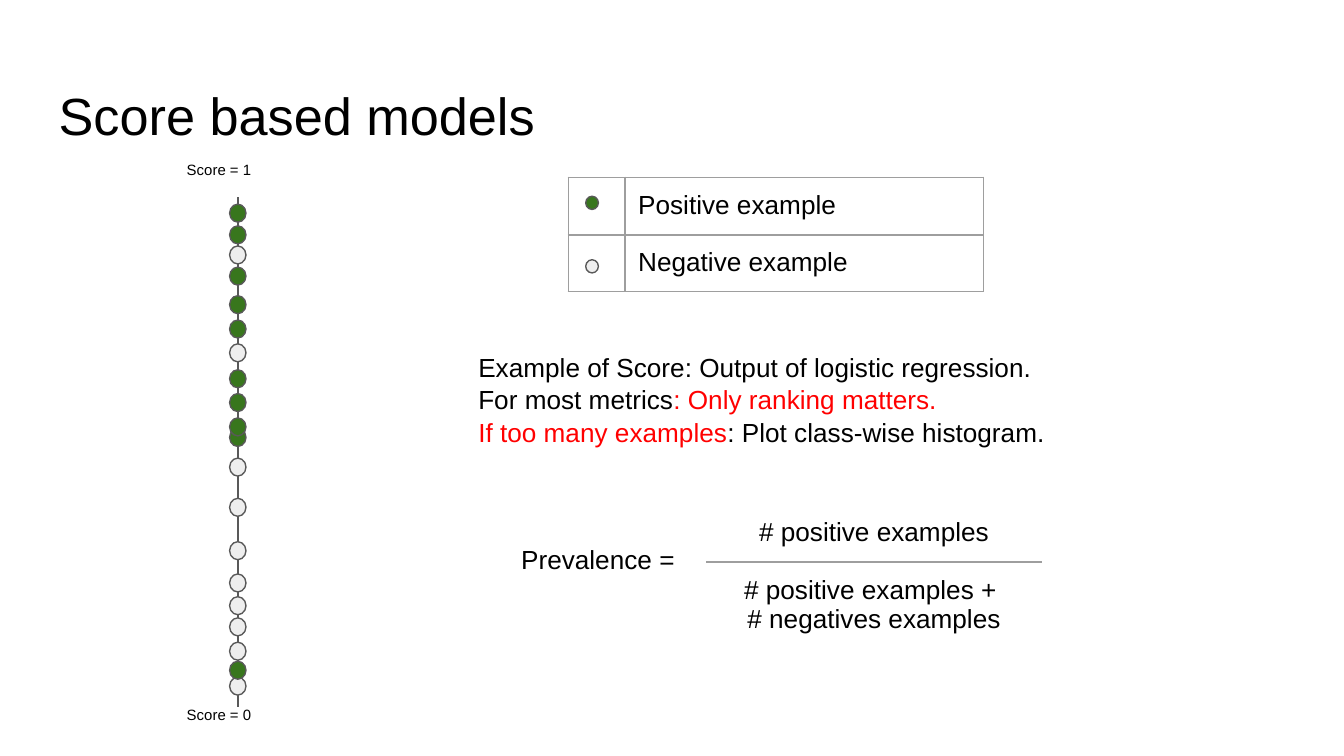
from lxml.etree import SubElement
from pptx import Presentation
from pptx.dml.color import RGBColor
from pptx.enum.shapes import MSO_CONNECTOR, MSO_SHAPE
from pptx.enum.text import MSO_ANCHOR, PP_ALIGN
from pptx.oxml.ns import qn
from pptx.util import Cm, Pt

COLORS = {
    "text": "000000",
    "accent": "FF0000",
    "positive": "38761D",
    "negative": "EEEEEE",
    "outline": "595959",
    "border": "9E9E9E",
}


def write(paragraph, text, size=14, color="text", align=PP_ALIGN.LEFT):
    paragraph.alignment = align
    run = paragraph.add_run()
    run.text = text
    run.font.size = Pt(size)
    run.font.name = "Arial"
    run.font.color.rgb = RGBColor.from_string(COLORS[color])


def style_cell(cell, sides):
    properties = cell._tc.get_or_add_tcPr()
    for side in sides:
        line = SubElement(properties, qn(f"a:ln{side}"), w=str(Pt(0.75)))
        fill = SubElement(line, qn("a:solidFill"))
        SubElement(fill, qn("a:srgbClr"), val=COLORS["border"])
    cell.fill.background()
    cell.margin_left = cell.margin_right = Cm(0.25)
    cell.margin_top = cell.margin_bottom = Cm(0.25)


presentation = Presentation()
presentation.slide_width = Cm(25.4)
presentation.slide_height = Cm(14.29)
slide = presentation.slides.add_slide(presentation.slide_layouts[5])
shapes = slide.shapes

title = shapes.title
title.left, title.top, title.width, title.height = Cm(0.86), Cm(1.24), Cm(23.67), Cm(1.6)
title.text_frame.vertical_anchor = MSO_ANCHOR.TOP
title.text_frame.margin_left = title.text_frame.margin_right = Cm(0.25)
title.text_frame.margin_top = Cm(0.34)
write(title.text_frame.paragraphs[0], "Score based models", size=28)

score_axis = shapes.add_connector(MSO_CONNECTOR.STRAIGHT, Cm(4.5), Cm(3.73), Cm(4.5), Cm(13.36))
score_axis.line.color.rgb = RGBColor.from_string(COLORS["outline"])
score_axis.line.width = Pt(0.75)
SubElement(score_axis._element.spPr, qn("a:effectLst"))

legend = shapes.add_table(2, 2, Cm(10.74), Cm(3.35), Cm(7.85), Cm(2.16)).table
legend.first_row = legend.horz_banding = False
legend.columns[0].width, legend.columns[1].width = Cm(1.07), Cm(6.78)
legend.rows[0].height, legend.rows[1].height = Cm(1.09), Cm(1.07)
for row, meaning in enumerate(["Positive example", "Negative example"]):
    for column in range(2):
        style_cell(legend.cell(row, column), "LRTB")
    marker_cell = legend.cell(row, 0)
    marker_cell.margin_top = marker_cell.margin_bottom = 0
    write(legend.cell(row, 1).text_frame.paragraphs[0], meaning)

scores = {
    "negative": [4.65, 6.5, 8.66, 9.42, 10.24, 10.85, 11.28, 11.68, 12.14, 12.8],
    "positive": [3.86, 4.27, 5.05, 5.59, 6.05, 6.99, 8.1, 12.5, 7.44, 7.9],
}
examples = [(4.34, top, 0.31, 0.34, kind) for kind, tops in scores.items() for top in tops]
examples += [(11.07, 3.71, 0.24, 0.25, "positive"), (11.07, 4.91, 0.24, 0.25, "negative")]
for left, top, width, height, kind in examples:
    example = shapes.add_shape(
        MSO_SHAPE.FLOWCHART_CONNECTOR, Cm(left), Cm(top), Cm(width), Cm(height)
    )
    example.shadow.inherit = False
    example.fill.solid()
    example.fill.fore_color.rgb = RGBColor.from_string(COLORS[kind])
    example.line.color.rgb = RGBColor.from_string(COLORS["outline"])
    example.line.width = Pt(0.75)

labels = [
    ("Score = 1", 3.28, 2.87, 4.39, 0.46, 8),
    ("Score = 0", 3.28, 13.16, 4.39, 0.46, 8),
    ("Prevalence =", 9.6, 10.03, 8.71, 0.81, 14),
]
for text, left, top, width, height, size in labels:
    label = shapes.add_textbox(Cm(left), Cm(top), Cm(width), Cm(height)).text_frame
    label.word_wrap = True
    label.margin_left = label.margin_right = label.margin_top = label.margin_bottom = Cm(0.25)
    write(label.paragraphs[0], text, size=size)

fraction = shapes.add_table(2, 1, Cm(13.36), Cm(9.53), Cm(6.32), Cm(2.14)).table
fraction.first_row = fraction.horz_banding = False
parts = [(["# positive examples"], "B"), (["# positive examples + ", "# negatives examples"], "T")]
for row, (lines, side) in enumerate(parts):
    fraction.rows[row].height = Cm(1.07)
    cell = fraction.cell(row, 0)
    style_cell(cell, side)
    for index, text in enumerate(lines):
        paragraph = cell.text_frame.add_paragraph() if index else cell.text_frame.paragraphs[0]
        write(paragraph, text, align=PP_ALIGN.CENTER)

remarks = [
    [("Example of Score: Output of logistic regression.", "text")],
    [("For most metrics", "text"), (": Only ranking matters.", "accent")],
    [("If too many examples", "accent"), (": Plot class-wise histogram.", "text")],
]
notes = shapes.add_textbox(Cm(8.79), Cm(6.5), Cm(11.76), Cm(2.06)).text_frame
notes.word_wrap = True
for index, remark in enumerate(remarks):
    paragraph = notes.add_paragraph() if index else notes.paragraphs[0]
    paragraph.line_spacing = 1.03
    for text, color in remark:
        write(paragraph, text, color=color)

presentation.save("out.pptx")
